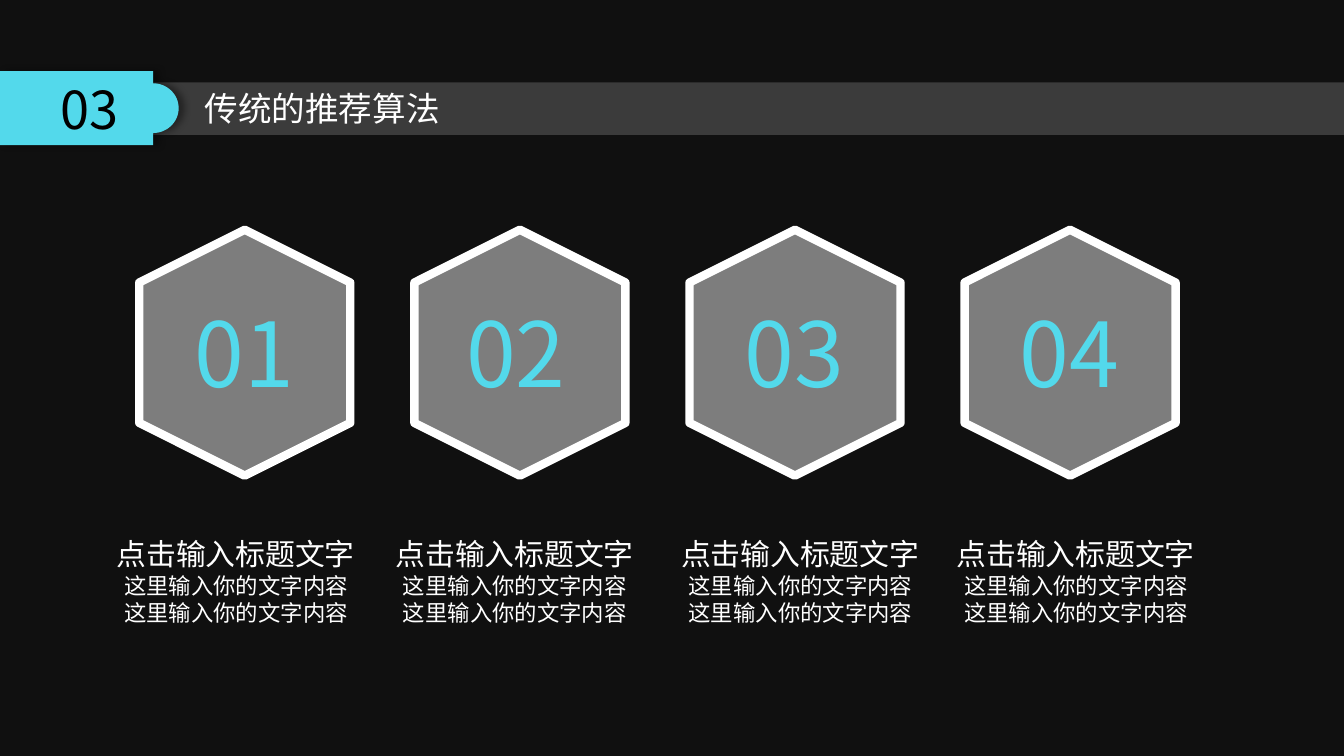
from dataclasses import dataclass
from math import cos, pi, sin

from lxml import etree
from pptx import Presentation
from pptx.dml.color import RGBColor
from pptx.enum.shapes import MSO_SHAPE
from pptx.enum.text import MSO_ANCHOR, MSO_AUTO_SIZE, PP_ALIGN
from pptx.oxml.ns import qn
from pptx.util import Emu, Inches, Pt

RECT, HEX = MSO_SHAPE.RECTANGLE, MSO_SHAPE.HEXAGON
MIDDLE, CENTER = MSO_ANCHOR.MIDDLE, PP_ALIGN.CENTER
GROW = MSO_AUTO_SIZE.SHAPE_TO_FIT_TEXT


@dataclass(frozen=True)
class Theme:
    back: str = "101010"
    white: str = "FFFFFF"
    black: str = "000000"
    cyan: str = "53D9EB"
    font: str = "Noto Sans CJK SC"
    tab_font: str = "Noto Sans CJK JP"
    tab: float = 28
    head: float = 18
    digit: float = 48
    title: float = 16
    body: float = 12


@dataclass(frozen=True)
class Box:
    col: float
    row: float
    cols: float
    rows: float

    def place(self) -> tuple:
        return tuple(grid(n) for n in (self.col, self.row, self.cols, self.rows))


@dataclass(frozen=True)
class Item:
    label: str
    digit_col: float
    text_col: float


THEME = Theme()
WIDE = Inches(10)
HIGH = Emu(WIDE * 9 // 16)
CELL = WIDE / 100
HEX_COL, HEX_STEP = 9.06, 20.47
TITLE = "点击输入标题文字"
BODY = ["这里输入你的文字内容"] * 2
ITEMS = [
    Item("01", 13.5, 7.7),
    Item("02", 33.7, 28.45),
    Item("03", 54.4, 49.7),
    Item("04", 74.9, 70.2),
]


def grid(cells: float) -> Emu:
    return Emu(round(cells * CELL))


def tint(color, value: str) -> None:
    color.rgb = RGBColor.from_string(value)


def fade(shape, share: int) -> None:
    color = shape.fill._xPr.find(qn("a:solidFill"))[0]
    etree.SubElement(color, qn("a:alpha"), val=str(share * 1000))


def style(para, size: float, color: str, font: str = THEME.font) -> None:
    para.font.size = Pt(size)
    para.font.name = font
    tint(para.font.color, color)
    base = para.font._element
    etree.SubElement(base, qn("a:ea"), typeface=font)


def write(slide, box: Box, lines: list[str], size: float, color: str) -> None:
    frame = slide.shapes.add_textbox(*box.place()).text_frame
    frame.word_wrap = False
    frame.auto_size = GROW
    frame.text = "\n".join(lines)
    for para in frame.paragraphs:
        style(para, size, color)


def panel(slide, kind, box: Box, share: int):
    shape = slide.shapes.add_shape(kind, *box.place())
    shape.shadow.inherit = False
    shape.fill.solid()
    tint(shape.fill.fore_color, THEME.white)
    fade(shape, share)
    shape.line.fill.background()
    return shape


def draw_tab(slide, label: str) -> None:
    turns = [pi * (n / 32 - 0.5) for n in range(33)]
    curve = [(11.4 + 1.9 * cos(t), 8.05 + 1.85 * sin(t)) for t in turns]
    dots = [(11.4, 5.3), *curve, (11.4, 10.8), (0, 10.8)]
    edge = slide.shapes.build_freeform(0, grid(5.3))
    edge.add_line_segments([(grid(x), grid(y)) for x, y in dots])
    tab = edge.convert_to_shape()
    tab.shadow.inherit = False
    tab.fill.solid()
    tint(tab.fill.fore_color, THEME.cyan)
    tab.line.fill.background()
    glow = etree.SubElement(
        tab._element.spPr.find(qn("a:effectLst")), qn("a:outerShdw"),
        blurRad=str(Pt(4)), dist=str(Pt(3)), dir="0", algn="l", rotWithShape="0",
    )
    shade = etree.SubElement(glow, qn("a:srgbClr"), val=THEME.black)
    etree.SubElement(shade, qn("a:alpha"), val="40000")
    frame = tab.text_frame
    frame.text = label
    frame.vertical_anchor = MIDDLE
    para = frame.paragraphs[0]
    para.alignment = CENTER
    style(para, THEME.tab, THEME.black, THEME.tab_font)


def draw_item(slide, index: int, item: Item) -> None:
    box = Box(HEX_COL + index * HEX_STEP, 18.4, 18.3, 15.7)
    shape = panel(slide, HEX, box, 46)
    shape.rotation = 90
    shape.line.width = Pt(4.5)
    tint(shape.line.color, THEME.white)
    write(slide, Box(item.digit_col, 21.7, 9.5, 9.1), [item.label], THEME.digit, THEME.cyan)
    write(slide, Box(item.text_col, 39.4, 20, 3.7), [TITLE], THEME.title, THEME.white)
    write(slide, Box(item.text_col + 0.55, 42.1, 18.8, 5), BODY, THEME.body, THEME.white)


def main() -> None:
    deck = Presentation()
    deck.slide_width, deck.slide_height = WIDE, HIGH
    slide = deck.slides.add_slide(deck.slide_layouts[6])
    slide.background.fill.solid()
    tint(slide.background.fill.fore_color, THEME.back)
    panel(slide, RECT, Box(0, 6.13, 100, 3.92), 18)
    draw_tab(slide, "03")
    write(slide, Box(14.23, 6.06, 19.7, 4), ["传统的推荐算法"], THEME.head, THEME.white)
    for index, item in enumerate(ITEMS):
        draw_item(slide, index, item)
    deck.save("out.pptx")


if __name__ == "__main__":
    main()
